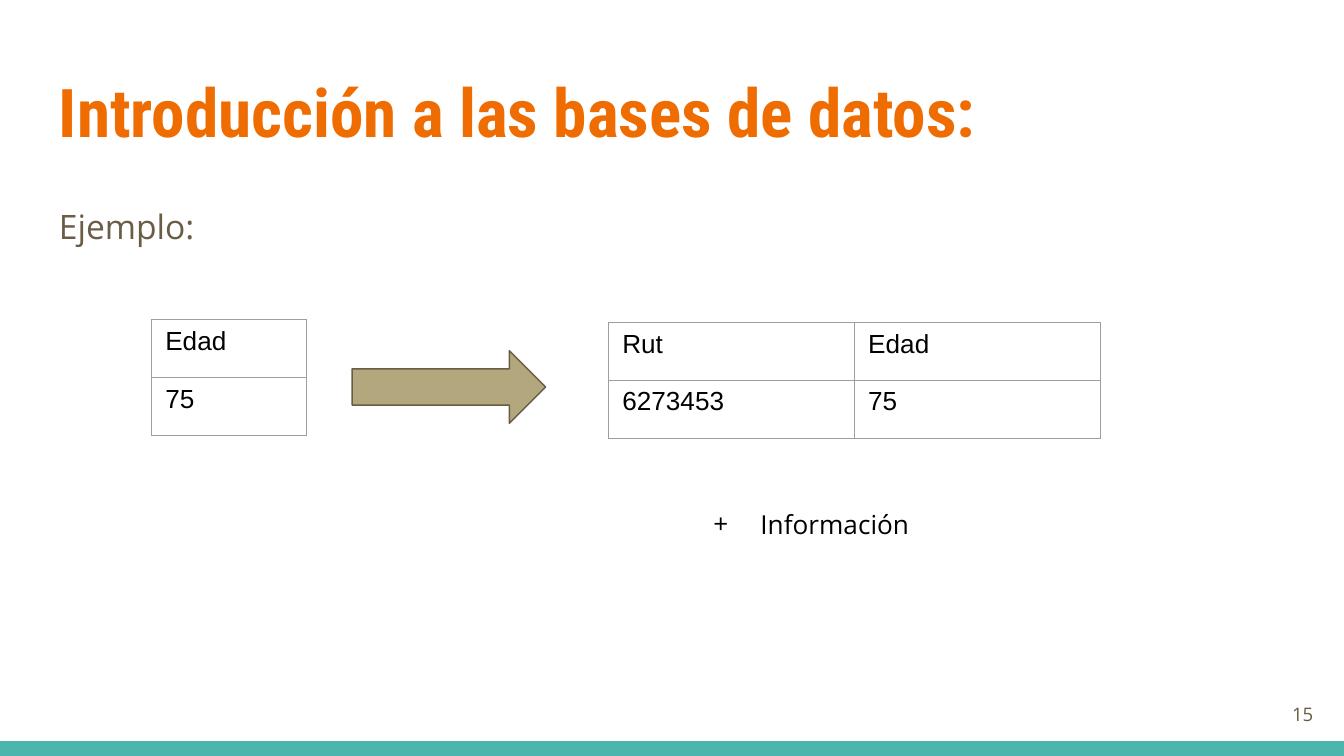
from pptx import Presentation
from pptx.dml.color import RGBColor
from pptx.enum.shapes import MSO_SHAPE as Shape
from pptx.enum.text import MSO_ANCHOR as Anchor, PP_ALIGN as Align
from pptx.oxml.ns import qn
from pptx.util import Inches, Pt
from lxml.etree import SubElement as Sub

WIDE = 10
HIGH = WIDE * 9 / 16
BAR = 0.11
LEFT, SPAN = 0.34, 9.32
ROW = 0.43
ORANGE = RGBColor(0xEF, 0x6C, 0x00)
BROWN = RGBColor(0x69, 0x5D, 0x46)
SAND = RGBColor(0xB3, 0xA7, 0x7D)
TEAL = RGBColor(0x4D, 0xB6, 0xAC)
GREY = RGBColor(0x9E, 0x9E, 0x9E)
BLACK = RGBColor(0, 0, 0)


def style(para, size, face, color, bold=False):
    font = para.runs[0].font
    font.size, font.name, font.bold = Pt(size), face, bold
    font.color.rgb = color


def add_text(slide, box, text, size, color, face="Open Sans", bold=False):
    frame = slide.shapes.add_textbox(*map(Inches, box)).text_frame
    frame.word_wrap = True
    frame.margin_left = frame.margin_right = Inches(0.1)
    frame.margin_top = frame.margin_bottom = Inches(0.1)
    frame.text = text
    para = frame.paragraphs[0]
    style(para, size, face, color, bold)
    return frame, para


def add_solid(slide, kind, box, fill, line=None):
    shape = slide.shapes.add_shape(kind, *map(Inches, box))
    shape.shadow.inherit = False
    shape.fill.solid()
    shape.fill.fore_color.rgb = fill
    if line is None:
        shape.line.fill.background()
    else:
        shape.line.color.rgb = line
        shape.line.width = Pt(0.75)


def add_edges(cell):
    props = cell._tc.get_or_add_tcPr()
    for side in ("a:lnL", "a:lnR", "a:lnT", "a:lnB"):
        edge = Sub(props, qn(side), w=str(Pt(0.75)))
        Sub(Sub(edge, qn("a:solidFill")), qn("a:srgbClr"), val=str(GREY))


def add_grid(slide, left, top, width, rows):
    count = len(rows[0])
    box = left, top, width * count, ROW * len(rows)
    grid = slide.shapes.add_table(len(rows), count, *map(Inches, box)).table
    grid.first_row = grid.horz_banding = False
    for r, row in enumerate(rows):
        for c, text in enumerate(row):
            cell = grid.cell(r, c)
            cell.text = text
            style(cell.text_frame.paragraphs[0], 14, "Arial", BLACK)
            add_edges(cell)
            cell.fill.background()


def add_bullet(para, mark):
    props = para._p.get_or_add_pPr()
    props.set("marL", str(Inches(0.5)))
    props.set("indent", str(Inches(-0.35)))
    Sub(Sub(props, qn("a:buClr")), qn("a:srgbClr"), val=str(BLACK))
    Sub(props, qn("a:buFont"), typeface="Open Sans")
    Sub(props, qn("a:buChar"), char=mark)


def main():
    """Build the slide on database basics and save it."""
    deck = Presentation()
    deck.slide_width, deck.slide_height = Inches(WIDE), Inches(HIGH)
    slide = deck.slides.add_slide(deck.slide_layouts[6])

    add_solid(slide, Shape.RECTANGLE, (0, HIGH - BAR, WIDE, BAR), TEAL)
    _, title = add_text(slide, (LEFT, 0.49, SPAN, 0.77),
                        "Introducción a las bases de datos:", 36, ORANGE,
                        "Roboto Condensed", True)
    title.line_spacing = 0.9
    _, body = add_text(slide, (LEFT, 1.39, SPAN, 3.61), "Ejemplo:", 18, BROWN)
    body.line_spacing, body.space_after = 1.15, Pt(12)
    frame, num = add_text(slide, (9.27, 5.1, 0.6, ROW), "15", 10, BROWN)
    frame.vertical_anchor, num.alignment = Anchor.MIDDLE, Align.RIGHT

    add_grid(slide, 1.13, 2.38, 1.15, [["Edad"], ["75"]])
    add_grid(slide, 4.53, 2.4, 1.83, [["Rut", "Edad"], ["6273453", "75"]])
    add_solid(slide, Shape.RIGHT_ARROW, (2.62, 2.61, 1.44, 0.54), SAND, BROWN)
    _, item = add_text(slide, (5.06, 3.68, 2.68, ROW), "Información", 14, BLACK)
    add_bullet(item, "+")

    deck.save("out.pptx")


if __name__ == "__main__":
    main()
